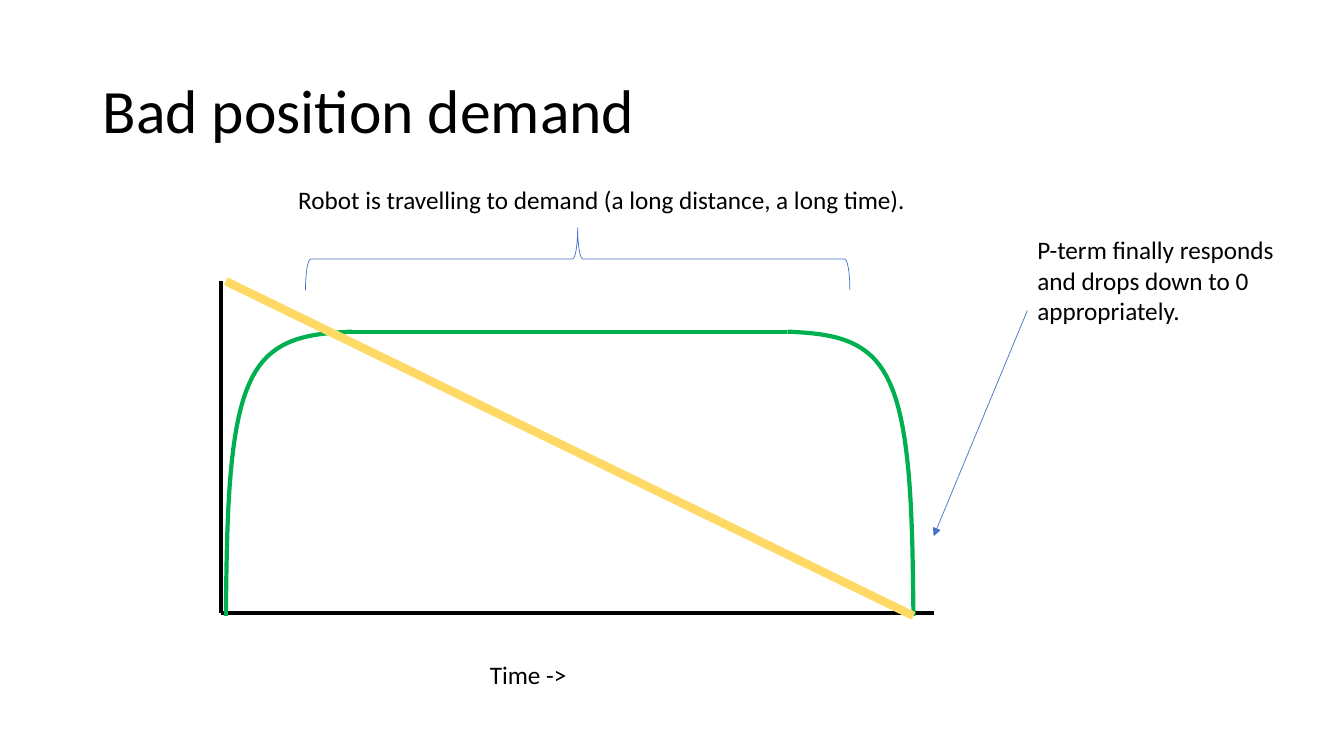
"""Builds the "Bad position demand" slide: a P-term response plotted over time."""
from pptx import Presentation
from pptx.dml.color import RGBColor
from pptx.enum.shapes import MSO_CONNECTOR, MSO_SHAPE
from pptx.enum.text import MSO_ANCHOR
from pptx.oxml.ns import qn
from pptx.util import Inches, Pt
from lxml.etree import SubElement

BLACK = RGBColor(0x00, 0x00, 0x00)
GREEN = RGBColor(0x00, 0xB0, 0x50)
BLUE = RGBColor(0x44, 0x72, 0xC4)
YELLOW = RGBColor(0xFF, 0xD9, 0x66)

prs = Presentation()
prs.slide_width, prs.slide_height = Inches(13.33), Inches(7.5)
slide = prs.slides.add_slide(prs.slide_layouts[6])


def add_label(text, left, top, width, height, size=18, wrap=True):
    frame = slide.shapes.add_textbox(
        Inches(left), Inches(top), Inches(width), Inches(height)).text_frame
    frame.word_wrap = wrap
    frame.text = text
    paragraph = frame.paragraphs[0]
    paragraph.font.name = "Calibri"
    paragraph.font.size = Pt(size)
    paragraph.font.color.rgb = BLACK
    return frame


def add_line(start, end, color, width):
    line = slide.shapes.add_connector(
        MSO_CONNECTOR.STRAIGHT, *(Inches(value) for value in start + end))
    line.line.color.rgb = color
    line.line.width = Pt(width)
    SubElement(line._element.spPr, qn("a:effectLst"))
    return line


title = add_label("Bad position demand", 0.92, 0.4, 11.5, 1.45, size=44)
title.vertical_anchor = MSO_ANCHOR.MIDDLE
title.paragraphs[0].line_spacing = 0.9

origin = (2.19, 6.08)
add_line((2.19, 2.79), origin, BLACK, 3)
add_line(origin, (9.26, 6.08), BLACK, 3)
add_label("Time ->", 4.76, 6.49, 0.97, 0.4, wrap=False)
add_label("Robot is travelling to demand (a long distance, a long time).",
          2.86, 1.78, 6.63, 0.4)

rise_segments = [
    [(2.24, 6.11), (2.25, 5.19), (2.26, 4.28), (2.47, 3.81)],
    [(2.47, 3.81), (2.67, 3.34), (3.08, 3.31), (3.49, 3.29)],
]
STEPS = 20
rise = [rise_segments[0][0]]
for segment in rise_segments:
    for step in range(1, STEPS + 1):
        t = step / STEPS
        weights = ((1 - t) ** 3, 3 * t * (1 - t) ** 2, 3 * t ** 2 * (1 - t), t ** 3)
        rise.append(tuple(sum(w * point[axis] for w, point in zip(weights, segment))
                          for axis in (0, 1)))
fall = [(2.24 + 9.06 - x, y) for x, y in rise]

for points in (rise, fall):
    vertices = [(Inches(x), Inches(y)) for x, y in points]
    builder = slide.shapes.build_freeform(*vertices[0])
    builder.add_line_segments(vertices[1:], close=False)
    curve = builder.convert_to_shape()
    curve.shadow.inherit = False
    curve.fill.background()
    curve.line.color.rgb = GREEN
    curve.line.width = Pt(3)
add_line(rise[-1], fall[-1], GREEN, 3)

travel_brace = slide.shapes.add_shape(
    MSO_SHAPE.RIGHT_BRACE, Inches(5.42), Inches(-0.13), Inches(0.62), Inches(5.4))
travel_brace.rotation = 270
travel_brace.shadow.inherit = False
travel_brace.fill.background()
travel_brace.line.color.rgb = BLUE
travel_brace.line.width = Pt(0.5)

add_line((2.24, 2.79), (9.06, 6.11), YELLOW, 6)
response_arrow = add_line((10.19, 3.08), (9.26, 5.32), BLUE, 0.5)
SubElement(response_arrow.line._get_or_add_ln(), qn("a:tailEnd"), type="triangle")
add_label("P-term finally responds and drops down to 0 appropriately.",
          10.19, 2.28, 2.56, 1.01)

prs.save("out.pptx")
